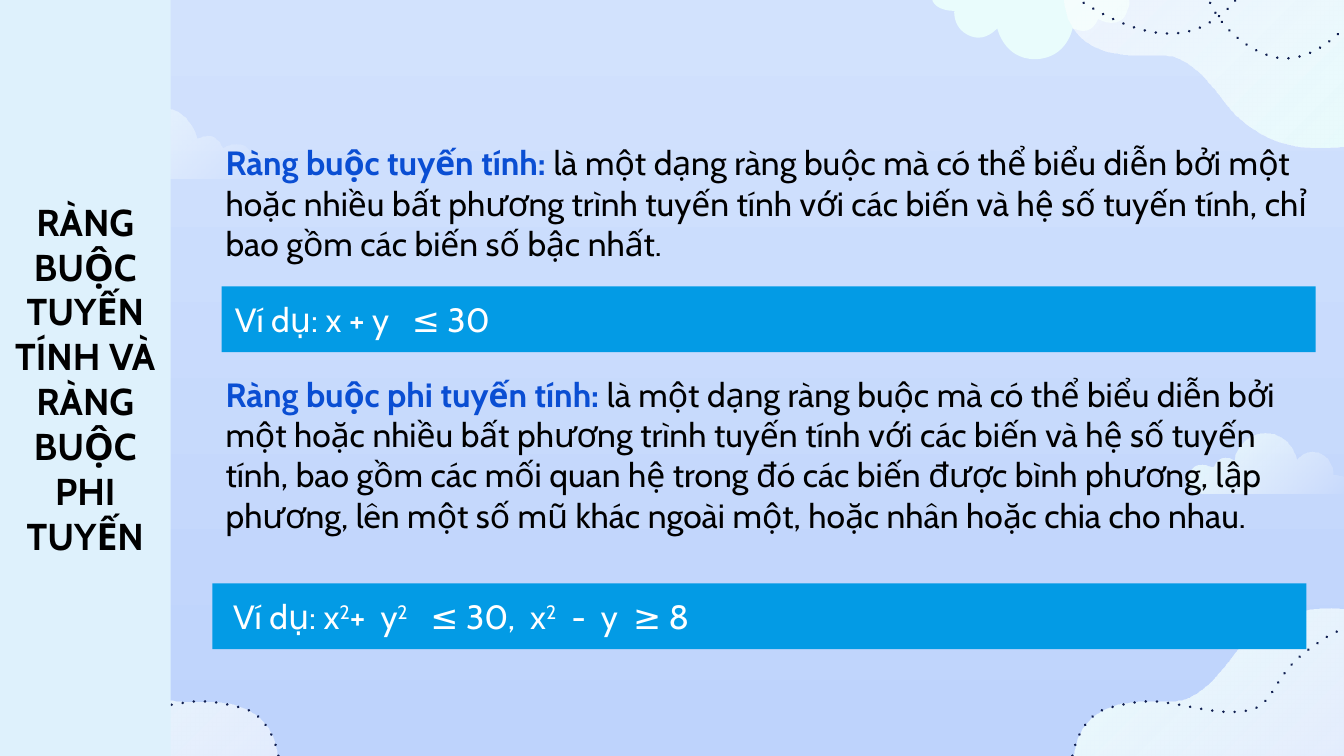
from lxml.etree import SubElement
from pptx import Presentation
from pptx.dml.color import RGBColor
from pptx.enum.shapes import MSO_SHAPE
from pptx.enum.text import MSO_ANCHOR, PP_ALIGN
from pptx.oxml.ns import qn
from pptx.util import Pt

PX = 9144
FONT = "Cabin"
BLACK = RGBColor(0x00, 0x00, 0x00)
WHITE = RGBColor(0xFF, 0xFF, 0xFF)
MINT = RGBColor(0xE9, 0xFC, 0xFC)
NAVY = RGBColor(0x0F, 0x1E, 0x50)
TERM_BLUE = RGBColor(0x0A, 0x4E, 0xD3)
EXAMPLE_BLUE = RGBColor(0x03, 0x9B, 0xE5)
PANEL_BLUE = RGBColor(0xDE, 0xF1, 0xFC)
SKY_TOP = RGBColor(0xD2, 0xE2, 0xFD)
SKY_BOTTOM = RGBColor(0xBE, 0xD3, 0xFC)

CLOUD = (150, 53), [
    (78, 0), (55, 0, 50, 23, 50, 23), (50, 23, 44, 16, 36, 16),
    (33, 16, 29, 17, 25, 20), (17, 26, 18, 36, 18, 36),
    (18, 36, 18, 36, 17, 36), (14, 36, 5, 37, 2, 43),
    (0, 48, 4, 53, 9, 53), (134, 53),
    (138, 53, 141, 52, 144, 50), (148, 47, 150, 43, 147, 37),
    (145, 29, 140, 27, 135, 27), (130, 27, 125, 30, 125, 30),
    (125, 30, 122, 21, 114, 21), (112, 21, 109, 22, 106, 23),
    (106, 23, 102, 1, 79, 0), (78, 0, 78, 0, 78, 0)]
HILL = (223, 125), [
    (194, 0), (211, 0, 223, 4, 223, 4), (223, 125), (3, 125),
    (0, 99, 9, 75, 43, 70), (48, 69, 53, 69, 57, 69),
    (63, 69, 69, 69, 74, 69), (87, 69, 99, 65, 122, 34),
    (143, 6, 172, 0, 194, 0)]
WAVE = (279, 132), [
    (274, 0), (285, 22, 274, 62, 251, 68), (236, 72, 221, 75, 206, 72),
    (185, 69, 164, 62, 144, 67), (132, 70, 127, 84, 120, 93),
    (112, 105, 100, 113, 88, 121), (63, 137, 20, 133, -1, 113)]
LOOP = (231, 128), [
    (10, 128), (-12, 99, 6, 35, 40, 23), (63, 16, 96, 27, 111, 46),
    (119, 57, 122, 77, 112, 86), (106, 92, 89, 84, 88, 76),
    (83, 56, 92, 34, 106, 19), (136, -10, 190, 1, 231, 11)]


def px(*lengths):
    """Turn px lengths into EMU."""
    return [length * PX for length in lengths]


def draw_outline(slide, outline, box, rotation=0, mirror=False, closed=True):
    """Draw a curved outline in a box, mirrored if asked, then rotated."""
    (base_width, base_height), segments = outline
    left, top, width, height = px(*box)
    builder = slide.shapes.build_freeform(left, top)
    builder.add_line_segments([(left + width, top + height)], close=closed)
    shape = builder.convert_to_shape()
    shape.shadow.inherit = False
    shape.rotation = rotation
    path = shape._element.find(".//" + qn("a:path"))
    path.set("w", str(base_width))
    path.set("h", str(base_height))
    for step in list(path):
        path.remove(step)
    for index, segment in enumerate(segments):
        kind = "a:moveTo" if index == 0 else "a:lnTo" if len(segment) == 2 else "a:cubicBezTo"
        step = SubElement(path, qn(kind))
        for x, y in zip(segment[::2], segment[1::2]):
            SubElement(step, qn("a:pt"), x=str(base_width - x if mirror else x), y=str(y))
    if closed:
        SubElement(path, qn("a:close"))
    return shape


def fill_gradient(fill, start, end, angle, end_alpha=100):
    """Apply a two-stop gradient with a clockwise angle."""
    fill.gradient()
    fill.gradient_angle = 360 - angle
    for stop, color in zip(fill.gradient_stops, (start, end)):
        stop.color.rgb = color
    if end_alpha < 100:
        last = fill._fill._gradFill.findall(".//" + qn("a:srgbClr"))[-1]
        SubElement(last, qn("a:alpha"), val=str(end_alpha * 1000))


def add_mist(slide, outline, box, end_alpha, **turn):
    """Add a borderless cloud or hill that fades out."""
    mist = draw_outline(slide, outline, box, **turn)
    fill_gradient(mist.fill, MINT, WHITE, 45, end_alpha)
    mist.line.fill.background()


def add_trail(slide, outline, box, **turn):
    """Add a curved line of round dots."""
    trail = draw_outline(slide, outline, box, closed=False, **turn)
    trail.fill.background()
    trail.line.color.rgb = NAVY
    trail.line.width = Pt(1.5)
    stroke = trail.line._get_or_add_ln()
    stroke.set("cap", "rnd")
    SubElement(stroke, qn("a:prstDash"), val="dot")


def add_scenery(slide, width, height):
    """Place clouds, hills and dotted trails around the slide edges."""
    fill_gradient(slide.background.fill, SKY_TOP, SKY_BOTTOM, 90)
    add_mist(slide, CLOUD, (40, 80, 150, 53), 0)
    add_mist(slide, CLOUD, (width - 118, 323, 124, 44), 0, mirror=True)
    for left, trail_left, mirror in ((width - 204, width - 204, False), (-14, -70, True)):
        add_mist(slide, HILL, (left, height - 110, 223, 125), 55, mirror=mirror)
        add_trail(slide, WAVE, (trail_left, height - 100, 279, 132),
                  rotation=180, mirror=mirror)
    top_cloud = draw_outline(slide, CLOUD, (width - 308, -9, 150, 53),
                             rotation=180, mirror=True)
    top_cloud.fill.solid()
    top_cloud.fill.fore_color.rgb = MINT
    top_cloud.line.fill.background()
    add_mist(slide, HILL, (width - 211, -15, 223, 125), 55, rotation=180, mirror=True)
    add_trail(slide, LOOP, (width - 215, -88, 231, 128), rotation=203.2)


def add_run(paragraph, text, color=BLACK, size=18, bold=False, raised=False):
    """Append formatted text to a paragraph."""
    run = paragraph.add_run()
    run.text = text
    run.font.name = FONT
    run.font.size = Pt(size)
    run.font.bold = bold
    run.font.color.rgb = color
    if raised:
        run.font._element.set("baseline", "30000")


def add_band(slide, box, color, align=PP_ALIGN.LEFT):
    """Add a plain filled rectangle and return its paragraph."""
    band = slide.shapes.add_shape(MSO_SHAPE.RECTANGLE, *px(*box))
    band.shadow.inherit = False
    band.fill.solid()
    band.fill.fore_color.rgb = color
    band.line.fill.background()
    band.text_frame.word_wrap = True
    band.text_frame.vertical_anchor = MSO_ANCHOR.MIDDLE
    paragraph = band.text_frame.paragraphs[0]
    paragraph.alignment = align
    return paragraph


def add_title_panel(slide, box):
    """Add the side panel with the slide title."""
    title = add_band(slide, box, PANEL_BLUE, PP_ALIGN.CENTER)
    add_run(title, "RÀNG BUỘC TUYẾN TÍNH VÀ RÀNG BUỘC PHI TUYẾN", size=20, bold=True)


def add_definition(slide, box, term, meaning):
    """Add a highlighted term followed by its meaning."""
    frame = slide.shapes.add_textbox(*px(*box)).text_frame
    frame.word_wrap = True
    add_run(frame.paragraphs[0], term, color=TERM_BLUE, bold=True)
    add_run(frame.paragraphs[0], meaning)


def add_example(slide, box, parts):
    """Add an example bar whose every second part is an exponent."""
    example = add_band(slide, box, EXAMPLE_BLUE)
    for index, part in enumerate(parts):
        add_run(example, part, color=WHITE, raised=index % 2 == 1)


def main():
    """Build and save the slide."""
    deck = Presentation()
    deck.slide_width = px(1000)[0]
    deck.slide_height = deck.slide_width * 9 // 16
    slide = deck.slides.add_slide(deck.slide_layouts[6])
    add_scenery(slide, 1000, 563)
    add_definition(
        slide, (158, 101, 825, 131), "Ràng buộc tuyến tính: ",
        "là một dạng ràng buộc mà có thể biểu diễn bởi một hoặc nhiều bất phương "
        "trình tuyến tính với các biến và hệ số tuyến tính, chỉ bao gồm các biến "
        "số bậc nhất.")
    add_definition(
        slide, (158, 273, 825, 161), "Ràng buộc phi tuyến tính: ",
        "là một dạng ràng buộc mà có thể biểu diễn bởi một hoặc nhiều bất phương "
        "trình tuyến tính với các biến và hệ số tuyến tính, bao gồm các mối quan hệ "
        "trong đó các biến được bình phương, lập phương, lên một số mũ khác ngoài "
        "một, hoặc nhân hoặc chia cho nhau.")
    add_title_panel(slide, (0, 0, 127, 563))
    add_example(slide, (165, 213, 814, 49), ["Ví dụ: x + y   ≤ 30"])
    add_example(slide, (158, 434, 814, 49),
                [" Ví dụ: x", "2", "+  y", "2", "   ≤ 30,  x", "2", "  -  y  ≥ 8"])
    deck.save("out.pptx")


if __name__ == "__main__":
    main()
